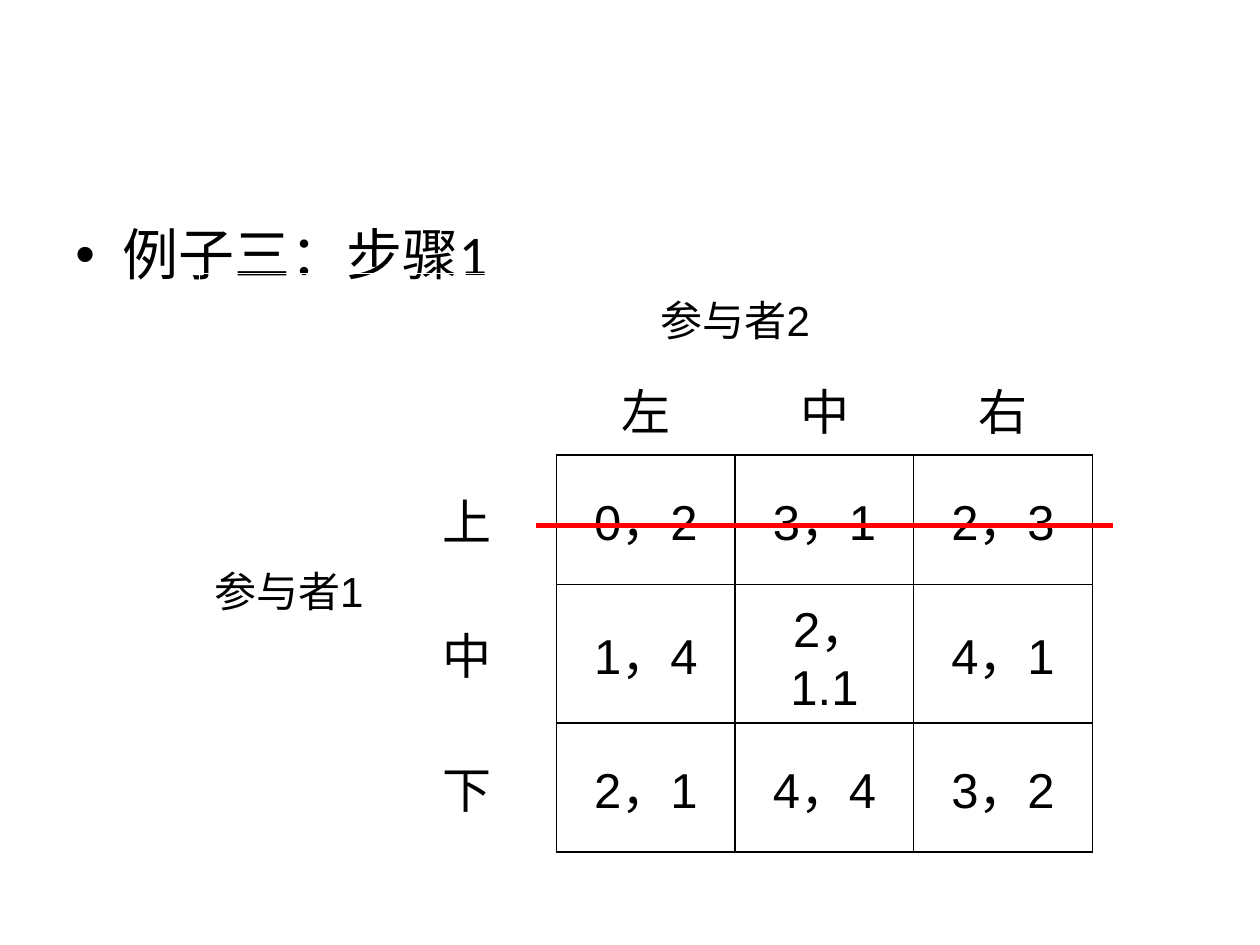
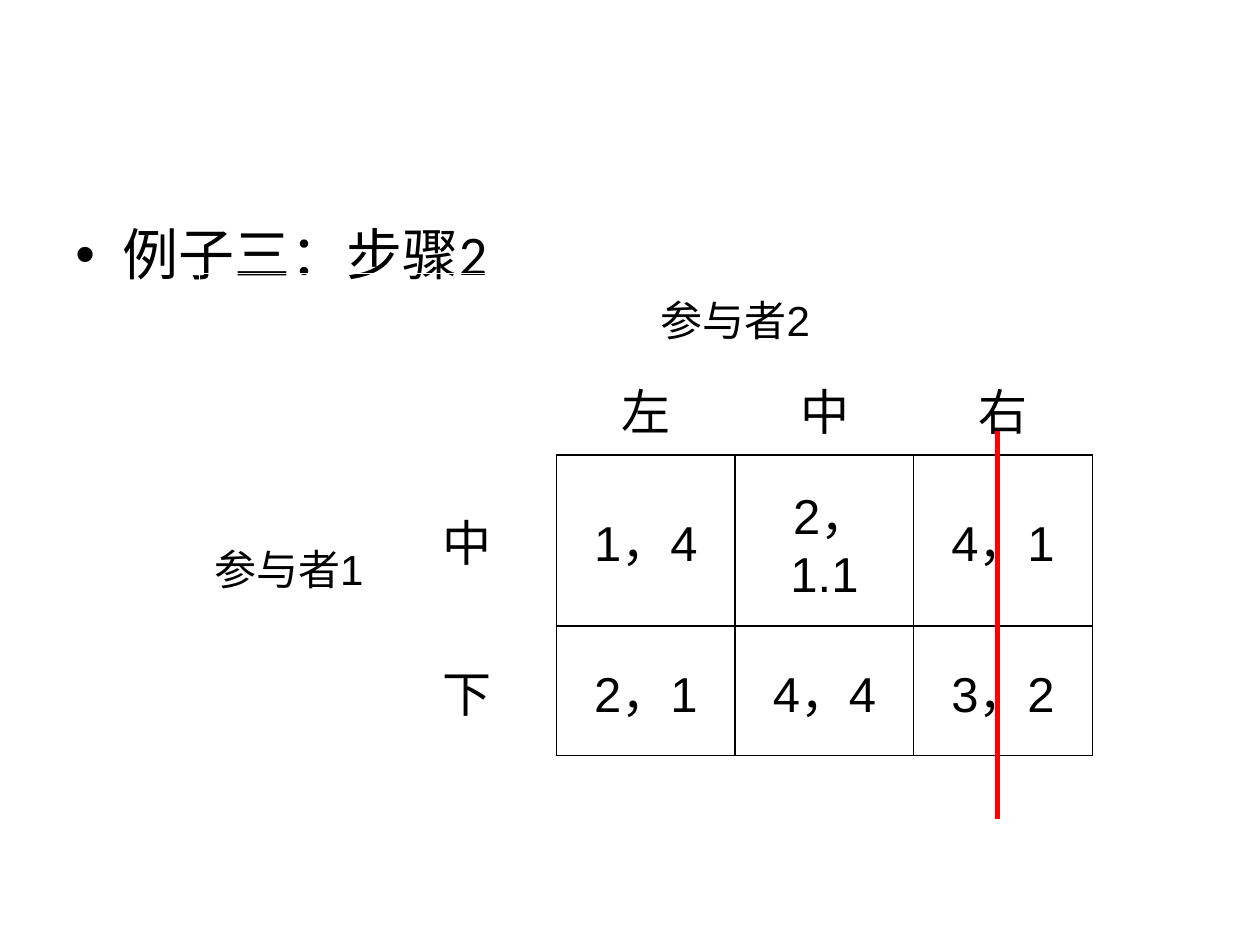
from lxml import etree
from pptx import Presentation
from pptx.dml.color import RGBColor
from pptx.enum.shapes import MSO_CONNECTOR
from pptx.enum.text import MSO_ANCHOR, PP_ALIGN
from pptx.oxml.ns import qn
from pptx.util import Cm, Pt

STRAIGHT = MSO_CONNECTOR.STRAIGHT
MIDDLE = MSO_ANCHOR.MIDDLE
CENTER = PP_ALIGN.CENTER

BLACK = "000000"
RED = "FF0000"
COLUMN_WIDTH = 3.6
HEADER_HEIGHT = 1.83
FIRST_PAYOFF = 2  # index of the first payoff row and column
PLAYER_1, PLAYER_2 = "参与者1", "参与者2"

HEADERS = [["", "", PLAYER_2, "", ""], ["", "", "左", "中", "右"]]
MIDDLE_ROW = ["中", "1，4", " 2，1.1", "4，1"]
BOTTOM_ROW = ["", "下", "2，1", "4，4", "3，2"]

STEPS = [
    {
        "title": "例子三：步骤1",
        "rows": [[PLAYER_1, "上", "0，2", "3，1", "2，3"], ["", *MIDDLE_ROW], BOTTOM_ROW],
        "heights": [2.61, 2.79, 2.61],
        "player_rows": 2,
        "player_top_margin": 0.13,
        "strike": (10.8, 10.6, 22.43, 10.6),
    },
    {
        "title": "例子三：步骤2",
        "rows": [[PLAYER_1, *MIDDLE_ROW], BOTTOM_ROW],
        "heights": [3.45, 2.61],
        "player_rows": 1,
        "player_top_margin": 1.2,
        "strike": (20.11, 8.68, 20.11, 16.51),
    },
]


def color(value):
    return RGBColor.from_string(value)


def add_borders(cell, sides):
    """Draw a thin black line on each side named in sides (L, R, T, B)."""
    properties = cell._tc.get_or_add_tcPr()
    for side in sides:
        line = etree.SubElement(properties, qn(f"a:ln{side}"), w=str(Pt(1)))
        fill = etree.SubElement(line, qn("a:solidFill"))
        etree.SubElement(fill, qn("a:srgbClr"), val=BLACK)


deck = Presentation()
deck.slide_width, deck.slide_height = Cm(25.4), Cm(19.05)
blank_layout = deck.slide_layouts[6]

for step in STEPS:
    page = deck.slides.add_slide(blank_layout)

    # Bulleted title
    box = page.shapes.add_textbox(Cm(1.27), Cm(4.45), Cm(22.86), Cm(13.97))
    box.text_frame.word_wrap = True
    para = box.text_frame.paragraphs[0]
    para.text = step["title"]
    para.line_spacing = 0.9
    properties = para._p.get_or_add_pPr()
    properties.set("marL", str(Cm(0.95)))
    properties.set("indent", str(Cm(-0.95)))
    etree.SubElement(properties, qn("a:buFont"), typeface="Arial")
    etree.SubElement(properties, qn("a:buChar"), char="•")
    para.font.name = "Calibri"
    para.font.size = Pt(32)
    para.font.color.rgb = color(BLACK)

    # Payoff table
    rows = HEADERS + step["rows"]
    heights = [HEADER_HEIGHT] * len(HEADERS) + step["heights"]
    column_count = len(rows[0])
    table = page.shapes.add_table(
        len(rows), column_count, Cm(4.02), Cm(5.51),
        Cm(COLUMN_WIDTH * column_count), Cm(sum(heights)),
    ).table
    table.first_row = False
    table.horz_banding = False
    for column in table.columns:
        column.width = Cm(COLUMN_WIDTH)
    for row, height in zip(table.rows, heights):
        row.height = Cm(height)

    for row_index, texts in enumerate(rows):
        for column_index, text in enumerate(texts):
            cell = table.cell(row_index, column_index)
            in_payoff_row = row_index >= FIRST_PAYOFF
            in_payoff_column = column_index >= FIRST_PAYOFF
            if in_payoff_row and in_payoff_column:
                add_borders(cell, "LRTB")
            elif in_payoff_row and column_index == FIRST_PAYOFF - 1:
                add_borders(cell, "R")
            elif in_payoff_column and row_index == FIRST_PAYOFF - 1:
                add_borders(cell, "B")
            cell.fill.background()
            cell.vertical_anchor = MIDDLE
            cell.text = text
            para = cell.text_frame.paragraphs[0]
            para.alignment = CENTER
            para.font.name = "Arial"
            para.font.size = Pt(24 if text in (PLAYER_1, PLAYER_2) else 28)
            para.font.color.rgb = color(BLACK)

    table.cell(0, FIRST_PAYOFF).merge(table.cell(0, FIRST_PAYOFF + 1))
    player_cell = table.cell(FIRST_PAYOFF, 0)
    player_cell.margin_top = Cm(step["player_top_margin"])
    if step["player_rows"] > 1:
        player_cell.merge(table.cell(FIRST_PAYOFF + step["player_rows"] - 1, 0))

    # Line through the eliminated strategy
    strike = page.shapes.add_connector(STRAIGHT, *map(Cm, step["strike"]))
    strike.line.color.rgb = color(RED)
    strike.line.width = Pt(3)
    etree.SubElement(strike._element.spPr, qn("a:effectLst"))

deck.save("out.pptx")
